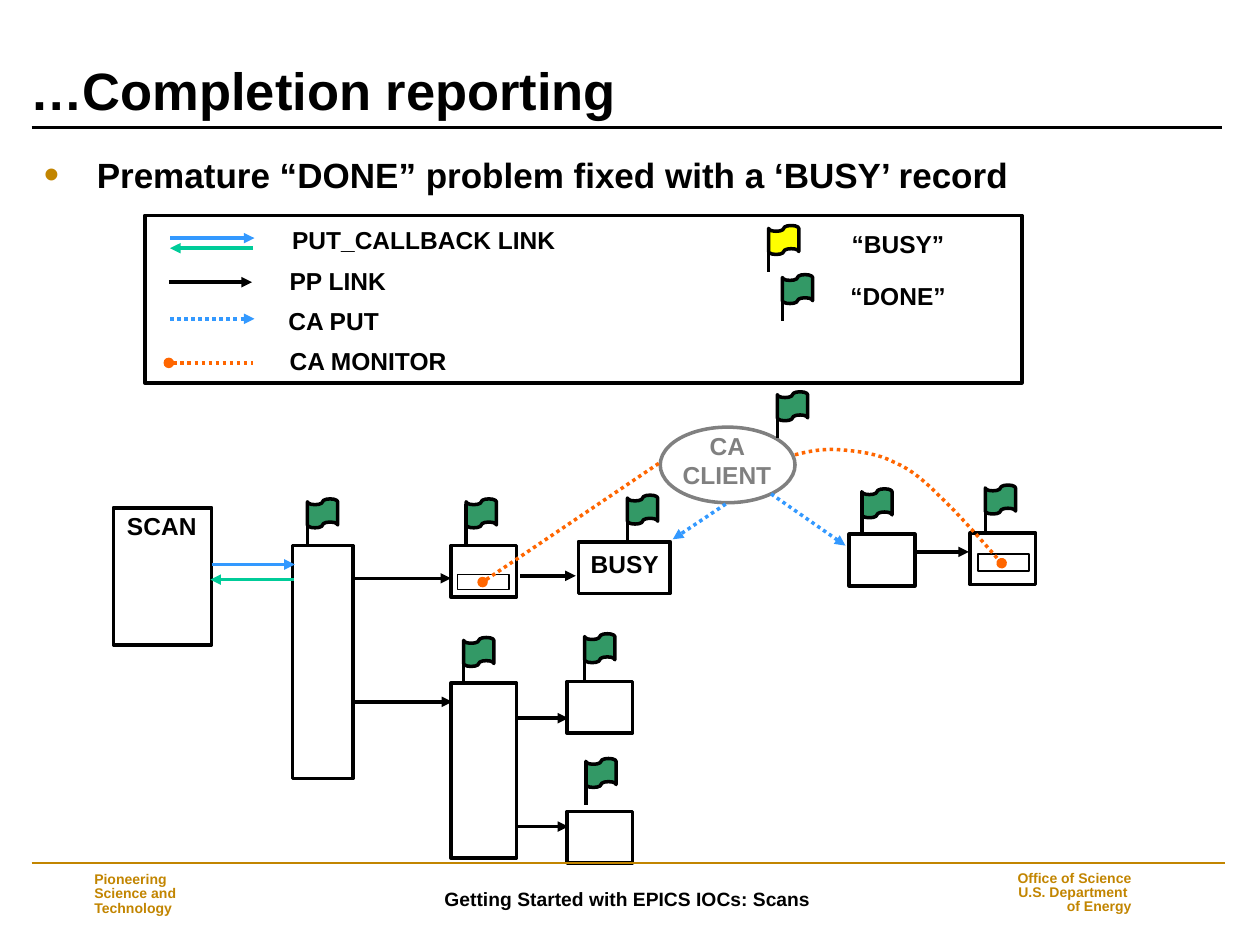
from lxml import etree
from pptx import Presentation
from pptx import util as u
from pptx.dml.color import RGBColor
from pptx.enum import dml, shapes, text
from pptx.oxml.ns import qn

COLORS = {"ink": "000000", "gold": "C28500", "blue": "3399FF", "teal": "00CC99",
          "orange": "FF6600", "gray": "808080", "green": "339966", "yellow": "FFFF00"}

prs = Presentation()
prs.slide_width, prs.slide_height = u.Inches(10), u.Inches(7.5)
col, row = prs.slide_width / 100, prs.slide_height / 75
s = prs.slides.add_slide(prs.slide_layouts[5])


def stroke(sp, color, width=2, dotted=False, head=None, tail=None):
    sp.line.color.rgb = RGBColor.from_string(COLORS[color])
    sp.line.width = u.Pt(width)
    if dotted:
        sp.line.dash_style = dml.MSO_LINE.ROUND_DOT
    ln = sp.line._get_or_add_ln()
    for tag, kind in (("a:headEnd", head), ("a:tailEnd", tail)):
        if kind:
            etree.SubElement(ln, qn(tag)).set("type", kind)


def write(sp, box, words, size, color="ink", align="LEFT", anchor="TOP", spacing=1.0):
    x, y, w, h = box
    sp.left, sp.top = int(x * col), int(y * row)
    sp.width, sp.height = int(w * col), int(h * row)
    tf = sp.text_frame
    tf.text = words
    tf.word_wrap = True
    tf.auto_size = text.MSO_AUTO_SIZE.NONE
    tf.vertical_anchor = text.MSO_ANCHOR[anchor]
    tf.margin_left = tf.margin_right = u.Inches(0.1)
    tf.margin_top = tf.margin_bottom = u.Inches(0.05)
    for p in tf.paragraphs:
        p.alignment = text.PP_ALIGN[align]
        p.line_spacing = spacing
        for r in p.runs:
            r.font.name, r.font.size, r.font.bold = "Arial", u.Pt(size), True
            r.font.color.rgb = RGBColor.from_string(COLORS[color])
    return tf


title = write(s.shapes.title, (1.4, 5.2, 95.8, 5), "…Completion reporting", 30,
              anchor="BOTTOM", spacing=0.9)
title.margin_top = 0

body = write(s.shapes.add_textbox(0, 0, 0, 0), (2.5, 11.7, 94.6, 4.4),
             "Premature “DONE” problem fixed with a ‘BUSY’ record", 20)
pPr = body.paragraphs[0]._p.get_or_add_pPr()
pPr.set("marL", str(u.Inches(0.42)))
pPr.set("indent", str(-u.Inches(0.42)))
bullet_color = etree.SubElement(pPr, qn("a:buClr"))
etree.SubElement(bullet_color, qn("a:srgbClr")).set("val", COLORS["gold"])
etree.SubElement(pPr, qn("a:buSzPct")).set("val", "125000")
etree.SubElement(pPr, qn("a:buFont")).set("typeface", "Arial")
etree.SubElement(pPr, qn("a:buChar")).set("char", "•")

outlines = [
    ("RECTANGLE", 11.5, 17.1, 69.6, 13.3, "ink", 2),
    ("RECTANGLE", 9, 40.3, 7.8, 10.9, "ink", 2),
    ("RECTANGLE", 23.2, 43.3, 4.8, 18.5, "ink", 2),
    ("RECTANGLE", 35.8, 54.2, 5.2, 13.9, "ink", 2),
    ("RECTANGLE", 45.9, 43, 7.3, 4.1, "ink", 2),
    ("RECTANGLE", 36.3, 45.6, 4.1, 1.2, "ink", 1),
    ("RECTANGLE", 77.6, 44, 4.1, 1.3, "ink", 1),
    ("OVAL", 52.4, 33.9, 10.7, 6, "gray", 2),
]
for x, y in ((35.8, 43.3), (67.4, 42.4), (77, 42.3), (45, 54.1), (45, 64.4)):
    outlines.append(("RECTANGLE", x, y, 5.2, 4.1, "ink", 2))
for kind, x, y, w, h, color, width in outlines:
    sp = s.shapes.add_shape(shapes.MSO_SHAPE[kind], int(x * col), int(y * row),
                            int(w * col), int(h * row))
    sp.shadow.inherit = False
    sp.fill.background()
    stroke(sp, color, width)

links = [
    ((2.5, 68.5, 97.2, 68.5), "gold", 1, False, None, None),
    ((2.5, 10.1, 97, 10.1), "ink", 1.5, False, None, None),
    ((13.5, 18.9, 20.2, 18.9), "blue", 2, False, None, "triangle"),
    ((13.5, 19.7, 20.1, 19.7), "teal", 2, False, "triangle", None),
    ((13.5, 25.3, 20.2, 25.3), "blue", 2, True, None, "triangle"),
    ((13.4, 28.8, 20.1, 28.8), "orange", 2, True, "oval", None),
    ((16.8, 44.8, 23.4, 44.8), "blue", 2, False, None, "triangle"),
    ((16.7, 46, 23.3, 46), "teal", 2, False, "triangle", None),
    ((38.3, 46.2, 52.4, 36.7), "orange", 2, True, "oval", None),
    ((61.2, 39.2, 67.1, 43.3), "blue", 2, True, None, "triangle"),
    ((57.6, 40, 53.4, 42.8), "blue", 2, True, None, "triangle"),
]
for x1, x2, y in ((13.4, 20, 22.4), (28.1, 35.8, 45.9), (27.9, 35.9, 55.7), (40.9, 45.1, 57),
                  (40.9, 45.1, 65.6), (72.7, 76.9, 43.8), (41.3, 45.7, 45.7)):
    links.append(((x1, y, x2, y), "ink", 2, False, None, "triangle"))

flags = [(61, 17.9, "yellow")]
for x, y in ((62.1, 21.8), (68.4, 38.8), (61.7, 31.1), (37, 39.6), (46.4, 50.3), (46.5, 60.2),
             (36.8, 50.6), (24.4, 39.6), (78.2, 38.5), (49.8, 39.3)):
    flags.append((x, y, "green"))
for x, y, color in flags:
    sp = s.shapes.add_shape(shapes.MSO_SHAPE.WAVE, int(x * col), int(y * row),
                            int(2.4 * col), int(2.3 * row))
    sp._element.spPr.find(qn("a:prstGeom")).set("prst", "flowChartPunchedTape")
    av = sp._element.spPr.find(qn("a:prstGeom")).find(qn("a:avLst"))
    for guide in list(av):
        av.remove(guide)
    sp.shadow.inherit = False
    sp.fill.solid()
    sp.fill.fore_color.rgb = RGBColor.from_string(COLORS[color])
    stroke(sp, "ink")
    links.append(((x, y + 0.4, x, y + 3.7), "ink", 2, False, None, None))

for (x1, y1, x2, y2), color, width, dotted, head, tail in links:
    sp = s.shapes.add_connector(shapes.MSO_CONNECTOR.STRAIGHT, int(x1 * col), int(y1 * row),
                                int(x2 * col), int(y2 * row))
    stroke(sp, color, width, dotted, head, tail)
    etree.SubElement(sp._element.spPr, qn("a:effectLst"))

curve = [(63.1, 36.1), (64.2, 35.8), (65.4, 35.6), (66.7, 35.7), (68, 35.8), (69.7, 36),
         (71, 36.7), (72.4, 37.3), (73.4, 38.2), (74.8, 39.6), (76.2, 40.9), (78.7, 43.8),
         (79.5, 44.7)]
points = []
for i in range(0, 12, 3):
    for step in range(1, 9):
        t = step / 8
        weights = ((1 - t) ** 3, 3 * t * (1 - t) ** 2, 3 * t ** 2 * (1 - t), t ** 3)
        points.append(tuple(sum(k * c[axis] for k, c in zip(weights, curve[i:i + 4])) * unit
                            for axis, unit in ((0, col), (1, row))))
fb = s.shapes.build_freeform(int(curve[0][0] * col), int(curve[0][1] * row))
fb.add_line_segments(points, close=False)
sp = fb.convert_to_shape()
sp.shadow.inherit = False
sp.fill.background()
stroke(sp, "orange", dotted=True, tail="oval")

for x, y, w, words in (
    (22.2, 17.4, 23, "PUT_CALLBACK LINK"), (22, 20.6, 9.9, "PP LINK"),
    (21.9, 23.8, 11.2, "CA PUT"), (22, 27, 14.8, "CA MONITOR"),
    (66.6, 17.7, 10.5, "“BUSY”"), (66.5, 21.8, 10.3, "“DONE”"),
    (9.1, 40.1, 8, "SCAN"), (45.9, 43.1, 8, "BUSY"),
):
    write(s.shapes.add_textbox(0, 0, 0, 0), (x, y, w, 3.4), words, 14)
write(s.shapes.add_textbox(0, 0, 0, 0), (52.9, 33.7, 9.6, 5.7), "CA CLIENT", 14, "gray", "CENTER")

for box, words, size, color, align, spacing in (
    ((20.2, 68.9, 59.2, 4.8), "Getting Started with EPICS IOCs: Scans", 11, "ink", "CENTER", 1.0),
    ((6.5, 68.8, 14.6, 4.4), "Pioneering\vScience and\vTechnology", 8, "gold", "LEFT", 0.85),
    ((78.4, 68.7, 12.4, 4.4), "Office of Science\nU.S. Department \nof Energy", 8, "gold",
     "RIGHT", 0.85),
):
    write(s.shapes.add_textbox(0, 0, 0, 0), box, words, size, color, align, "MIDDLE", spacing)

prs.save("out.pptx")
